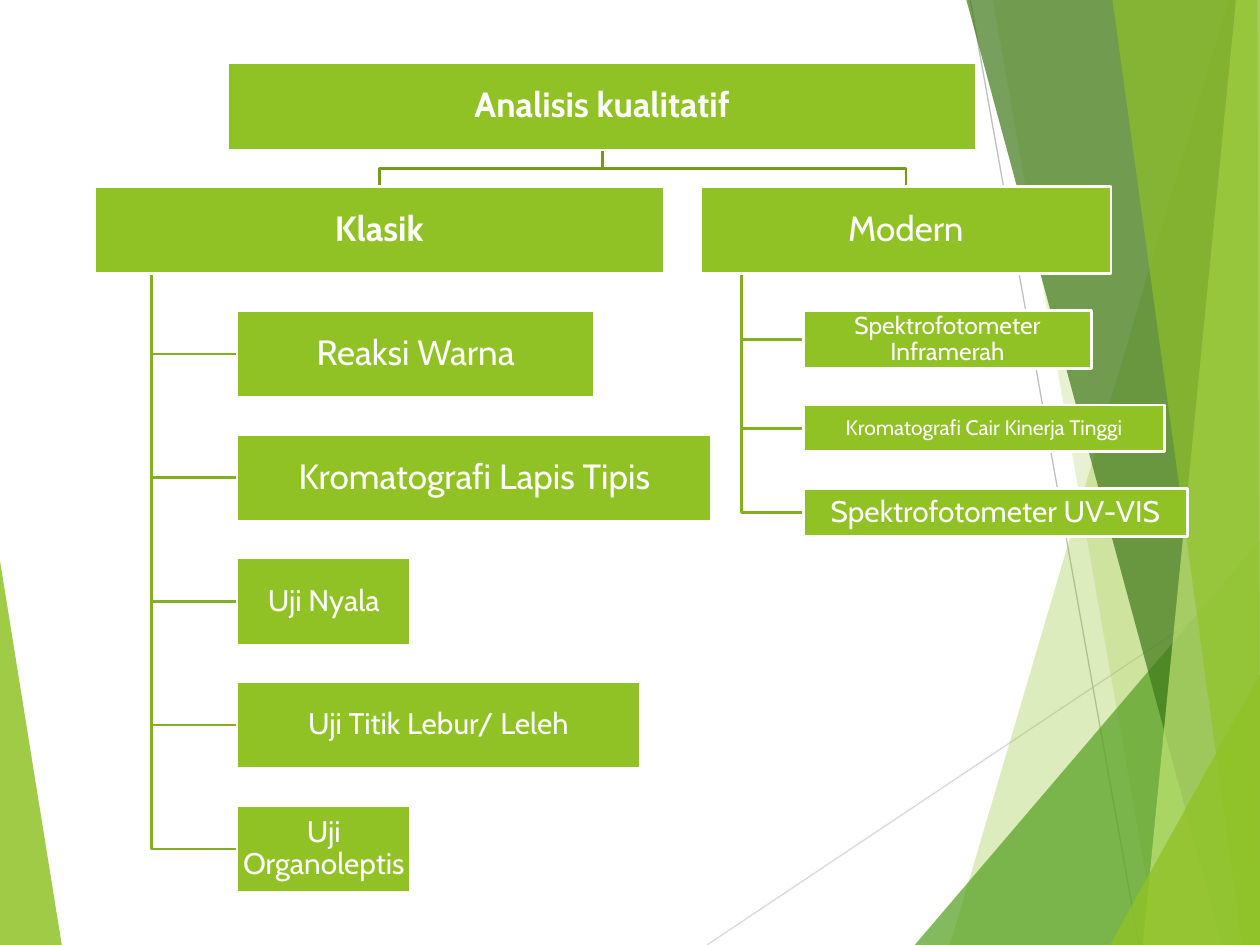
from lxml import etree
from pptx import Presentation
from pptx.dml.color import RGBColor
from pptx.enum.shapes import MSO_CONNECTOR, MSO_SHAPE
from pptx.enum.text import MSO_ANCHOR, PP_ALIGN
from pptx.oxml.ns import qn
from pptx.util import Inches, Pt

RECT = MSO_SHAPE.RECTANGLE
STRAIGHT = MSO_CONNECTOR.STRAIGHT
CENTER = PP_ALIGN.CENTER
MIDDLE = MSO_ANCHOR.MIDDLE

COLS, ROWS = 10, 7.5
COLORS = {
    "lime": "90C226", "green": "54A021", "dark": "3F7819", "pale": "C0E474",
    "trunk": "739B1E", "twig": "83B022", "white": "FFFFFF",
    "gray": "BFBFBF", "silver": "D9D9D9",
}

# Corner points, colour, opacity in percent
FACETS = [
    ([(9.75, 0), (7.54, 7.5), (10, 7.5), (10, 0)], "lime", 30),
    ([(7.88, 0), (9.19, 7.5), (10, 7.5), (10, 0)], "lime", 20),
    ([(7.26, 7.5), (10, 4.29), (10, 7.5)], "green", 72),
    ([(7.67, 0), (9.7, 7.5), (10, 7.5), (10, 0)], "dark", 70),
    ([(9.81, 0), (9.07, 7.5), (10, 7.5), (10, 0)], "pale", 70),
    ([(8.83, 0), (9.86, 7.5), (10, 7.5), (9.98, 0)], "lime", 65),
    ([(8.81, 7.5), (10, 5.35), (10, 7.5)], "lime", 80),
]

# Chart rhythm: box height and the gap below each box
TALL, GAP = 0.69, 0.292
ROOT = ("Analisis kualitatif", 1.81, 5.94, 20, True)
# Head (text, left, width, size, bold), then leaves (text, width, height, size)
GROUPS = [
    (("Klasik", 0.75, 4.52, 20, True), [
        ("Reaksi Warna", 2.84, TALL, 20),
        ("Kromatografi Lapis Tipis", 3.77, TALL, 20),
        ("Uji Nyala", 1.38, TALL, 17),
        ("Uji Titik Lebur/ Leleh", 3.2, TALL, 17),
        ("Uji Organoleptis", 1.38, TALL, 17),
    ]),
    (("Modern", 5.56, 3.26, 20, False), [
        ("Spektrofotometer Inframerah", 2.29, 0.46, 14),
        ("Kromatografi Cair Kinerja Tinggi", 2.87, 0.37, 12),
        ("Spektrofotometer UV-VIS", 3.05, 0.38, 17),
    ]),
]


class Board:
    """Draws on one slide, with places given in grid columns and rows."""

    font = "Cabin"
    pen = Pt(1.5)

    def __init__(self, deck):
        self.slide = deck.slides.add_slide(deck.slide_layouts[6])
        self.shapes = self.slide.shapes
        self.col = deck.slide_width / COLS
        self.row = deck.slide_height / ROWS

    def spot(self, x, y):
        return round(x * self.col), round(y * self.row)

    def color(self, name):
        return RGBColor.from_string(COLORS[name])

    def outline(self, points, close):
        first, *rest = [self.spot(*p) for p in points]
        pen = self.shapes.build_freeform(*first)
        pen.add_line_segments(rest, close=close)
        shape = pen.convert_to_shape()
        shape.shadow.inherit = False
        return shape

    def facet(self, points, color, alpha):
        shape = self.outline(points, True)
        shape.fill.solid()
        shape.fill.fore_color.rgb = self.color(color)
        shape.line.fill.background()
        tint = next(shape._element.spPr.iter(qn("a:srgbClr")))
        etree.SubElement(tint, qn("a:alpha")).set("val", str(alpha * 1000))

    def link(self, points, color):
        shape = self.outline(points, False)
        shape.fill.background()
        shape.line.color.rgb = self.color(color)
        shape.line.width = self.pen

    def line(self, start, end, color):
        line = self.shapes.add_connector(
            STRAIGHT, *self.spot(*start), *self.spot(*end))
        line.line.color.rgb = self.color(color)
        line.line.width = Pt(0.75)
        etree.SubElement(line._element.spPr, qn("a:effectLst"))

    def box(self, text, x, y, w, h, size, bold=False):
        shape = self.shapes.add_shape(RECT, *self.spot(x, y), *self.spot(w, h))
        shape.shadow.inherit = False
        shape.fill.solid()
        shape.fill.fore_color.rgb = self.color("lime")
        shape.line.color.rgb = self.color("white")
        shape.line.width = self.pen
        frame = shape.text_frame
        frame.word_wrap = True
        frame.vertical_anchor = MIDDLE
        frame.margin_left = frame.margin_right = Inches(0.01)
        frame.margin_top = frame.margin_bottom = Inches(0.01)
        para = frame.paragraphs[0]
        para.text = text
        para.alignment = CENTER
        para.line_spacing = 0.9
        para.font.name = self.font
        para.font.size = Pt(size)
        para.font.bold = bold
        para.font.color.rgb = self.color("white")


def backdrop(board):
    board.facet([(0, 4.45), (0.49, 7.5), (0, 7.5)], "lime", 85)
    board.line((5.61, 7.5), (10, 4.57), "silver")
    board.line((7.7, 0), (9.04, 7.5), "gray")
    for facet in FACETS:
        board.facet(*facet)


def tree(board):
    """Lay out all boxes, drawing links at once so that they stay behind."""
    text, left, width, size, bold = ROOT
    top = 0.5
    boxes = [(text, left, top, width, TALL, size, bold)]
    mid, base = left + width / 2, top + TALL
    head_top = base + GAP
    foot = head_top + TALL
    for (text, left, width, size, bold), leaves in GROUPS:
        boxes.append((text, left, head_top, width, TALL, size, bold))
        center, bend = left + width / 2, base + GAP / 2
        board.link([(mid, base), (mid, bend), (center, bend),
                    (center, head_top)], "trunk")
        stem, inset = left + width / 10, left + width / 4
        y = foot + GAP
        for name, wide, high, points in leaves:
            boxes.append((name, inset, y, wide, high, points))
            level = y + high / 2
            board.link([(stem, foot), (stem, level), (inset, level)], "twig")
            y += high + GAP
    for box in boxes:
        board.box(*box)


def main():
    deck = Presentation()
    deck.slide_width, deck.slide_height = Inches(10), Inches(7.5)
    board = Board(deck)
    backdrop(board)
    tree(board)
    deck.save("out.pptx")


if __name__ == "__main__":
    main()
